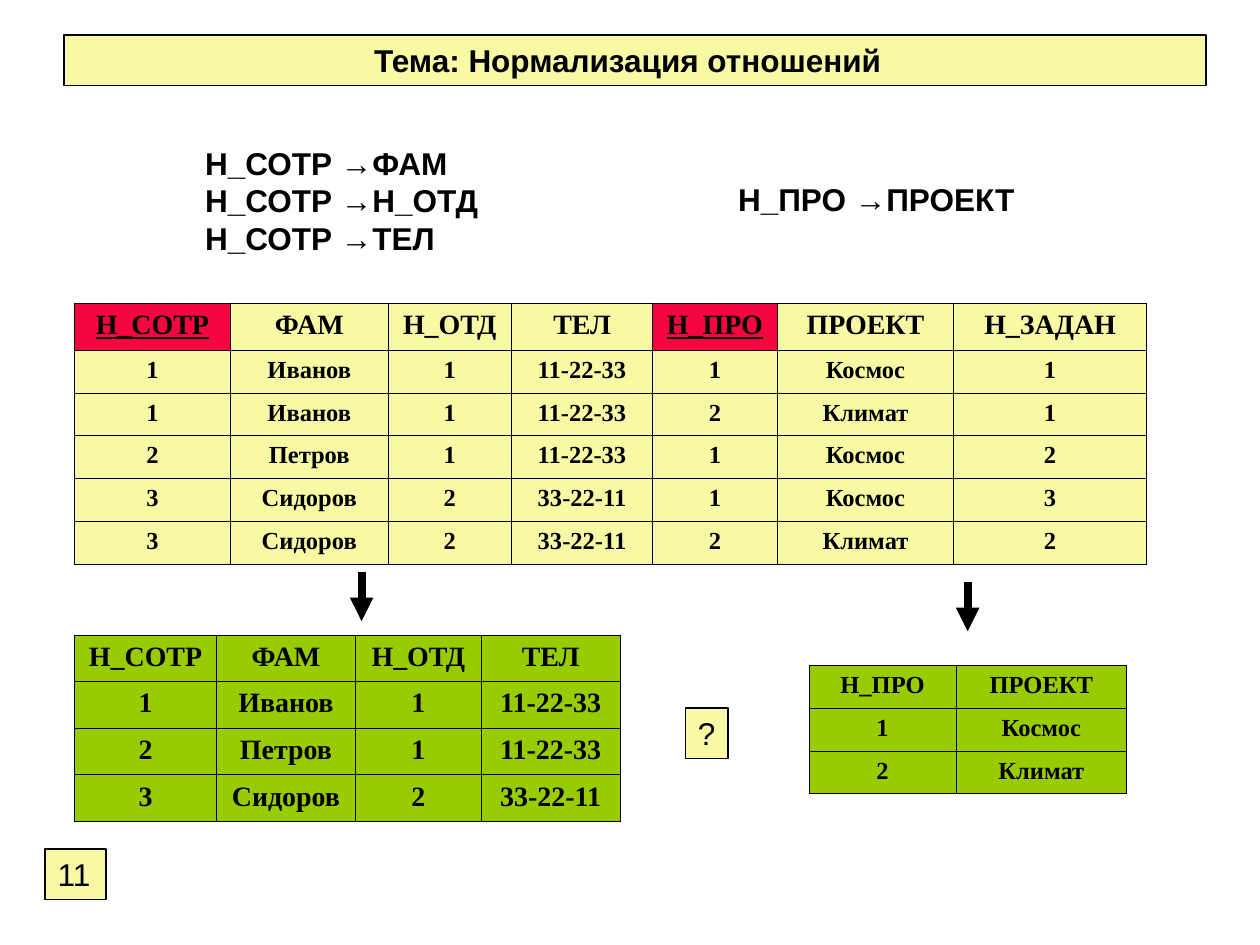
from lxml.etree import SubElement
from pptx import Presentation
from pptx.dml.color import RGBColor
from pptx.enum.shapes import MSO_CONNECTOR as Connector, MSO_SHAPE as Shape
from pptx.enum.text import MSO_ANCHOR as Anchor, MSO_AUTO_SIZE as AutoSize, PP_ALIGN as Align
from pptx.oxml.ns import qn
from pptx.util import Inches, Pt

BLACK, CREAM, RED, GREEN = "000000", "F7F9A5", "F6063F", "99CC00"


def color(value):
    return RGBColor.from_string(value)


def add_span(para, text, font="Arial", size=18, bold=False, underline=False):
    span = para.add_run()
    span.text = text
    span.font.name = font
    span.font.size = Pt(size)
    span.font.bold = bold
    span.font.underline = underline
    span.font.color.rgb = color(BLACK)


class SlideBuilder:
    def __init__(self, slide, table_font="Times New Roman", border=0.45):
        self.slide = slide
        self.table_font = table_font
        self.border = border

    def label(self, text, left, top, width, height=0.4, bold=False, wrap=False, inset=0.1):
        """Add a cream, black-edged rectangle with one line of text."""
        box = self.slide.shapes.add_shape(
            Shape.RECTANGLE, Inches(left), Inches(top), Inches(width), Inches(height))
        box.shadow.inherit = False
        box.fill.solid()
        box.fill.fore_color.rgb = color(CREAM)
        box.line.color.rgb = color(BLACK)
        box.line.width = Pt(1)
        frame = box.text_frame
        frame.word_wrap = wrap
        frame.auto_size = AutoSize.SHAPE_TO_FIT_TEXT
        frame.vertical_anchor = Anchor.TOP
        frame.margin_left = Inches(inset)
        para = frame.paragraphs[0]
        para.alignment = Align.LEFT
        add_span(para, text, bold=bold)

    def dependencies(self, pairs, left, top, width, height, align=Align.LEFT):
        """Add a text box with one "key → attribute" line per pair."""
        box = self.slide.shapes.add_textbox(
            Inches(left), Inches(top), Inches(width), Inches(height))
        frame = box.text_frame
        frame.word_wrap = True
        frame.auto_size = AutoSize.SHAPE_TO_FIT_TEXT
        frame.vertical_anchor = Anchor.MIDDLE
        for index, (key, attribute) in enumerate(pairs):
            para = frame.add_paragraph() if index else frame.paragraphs[0]
            para.alignment = align
            add_span(para, f"{key} ", bold=True)
            add_span(para, "→")
            add_span(para, attribute, bold=True)

    def table(self, rows, left, top, widths, heights, fill, sizes, keys=()):
        """Add a table; header cells named in keys are red and underlined."""
        table = self.slide.shapes.add_table(
            len(rows), len(widths), Inches(left), Inches(top),
            Inches(sum(widths)), Inches(sum(heights))).table
        table.horz_banding = False
        for column, width in zip(table.columns, widths):
            column.width = Inches(width)
        for row, height, size, values in zip(table.rows, heights, sizes, rows):
            row.height = Inches(height)
            for cell, value in zip(row.cells, values):
                is_key = value in keys
                self.outline(cell)
                cell.fill.solid()
                cell.fill.fore_color.rgb = color(RED if is_key else fill)
                para = cell.text_frame.paragraphs[0]
                para.alignment = Align.CENTER
                add_span(para, value, self.table_font, size, True, is_key)

    def outline(self, cell):
        properties = cell._tc.get_or_add_tcPr()
        for side in ("a:lnL", "a:lnR", "a:lnT", "a:lnB"):
            line = SubElement(properties, qn(side), w=str(int(Pt(self.border))))
            SubElement(SubElement(line, qn("a:solidFill")), qn("a:srgbClr"), val=BLACK)

    def down_arrow(self, x, top, length=0.39):
        arrow = self.slide.shapes.add_connector(
            Connector.STRAIGHT, Inches(x), Inches(top), Inches(x), Inches(top + length))
        arrow.line.color.rgb = color(BLACK)
        arrow.line.width = Pt(4.5)
        SubElement(arrow.line._get_or_add_ln(), qn("a:tailEnd"), type="triangle")
        SubElement(arrow._element.spPr, qn("a:effectLst"))


def main():
    deck = Presentation()
    deck.slide_width, deck.slide_height = Inches(10), Inches(7.5)
    page = SlideBuilder(deck.slides.add_slide(deck.slide_layouts[6]))

    page.label("Тема: Нормализация отношений", 0.51, 0.28, 9.06,
               bold=True, wrap=True, inset=2.46)
    page.label("11", 0.36, 6.74, 0.48)

    page.dependencies([("Н_СОТР", name) for name in ("ФАМ", "Н_ОТД", "ТЕЛ")],
                      1.53, 1.09, 2.45, 1)
    page.dependencies([("Н_ПРО", "ПРОЕКТ")], 5.76, 1.38, 2.46, 0.4, Align.JUSTIFY)

    assignments = [
        ("Н_СОТР", "ФАМ", "Н_ОТД", "ТЕЛ", "Н_ПРО", "ПРОЕКТ", "Н_ЗАДАН"),
        ("1", "Иванов", "1", "11-22-33", "1", "Космос", "1"),
        ("1", "Иванов", "1", "11-22-33", "2", "Климат", "1"),
        ("2", "Петров", "1", "11-22-33", "1", "Космос", "2"),
        ("3", "Сидоров", "2", "33-22-11", "1", "Космос", "3"),
        ("3", "Сидоров", "2", "33-22-11", "2", "Климат", "2"),
    ]
    employees = [assignments[index][:4] for index in (0, 1, 3, 4)]
    projects = [row[4:6] for row in assignments[:3]]

    page.table(assignments, 0.59, 2.41, [1.24, 1.25, 0.98, 1.12, 0.99, 1.4, 1.53],
               [0.37] + [0.34] * 5, CREAM, [16] + [14] * 5, keys=("Н_СОТР", "Н_ПРО"))
    page.table(employees, 0.59, 5.04, [1.13, 1.1, 1, 1.1], [0.37] * 4, GREEN, [16] * 4)
    page.table(projects, 6.42, 5.28, [1.17, 1.35], [0.34] * 3, GREEN, [14] * 3)

    page.down_arrow(2.87, 4.54)
    page.down_arrow(7.68, 4.62)
    page.label("?", 5.44, 5.62, 0.34)

    deck.save("out.pptx")


if __name__ == "__main__":
    main()
